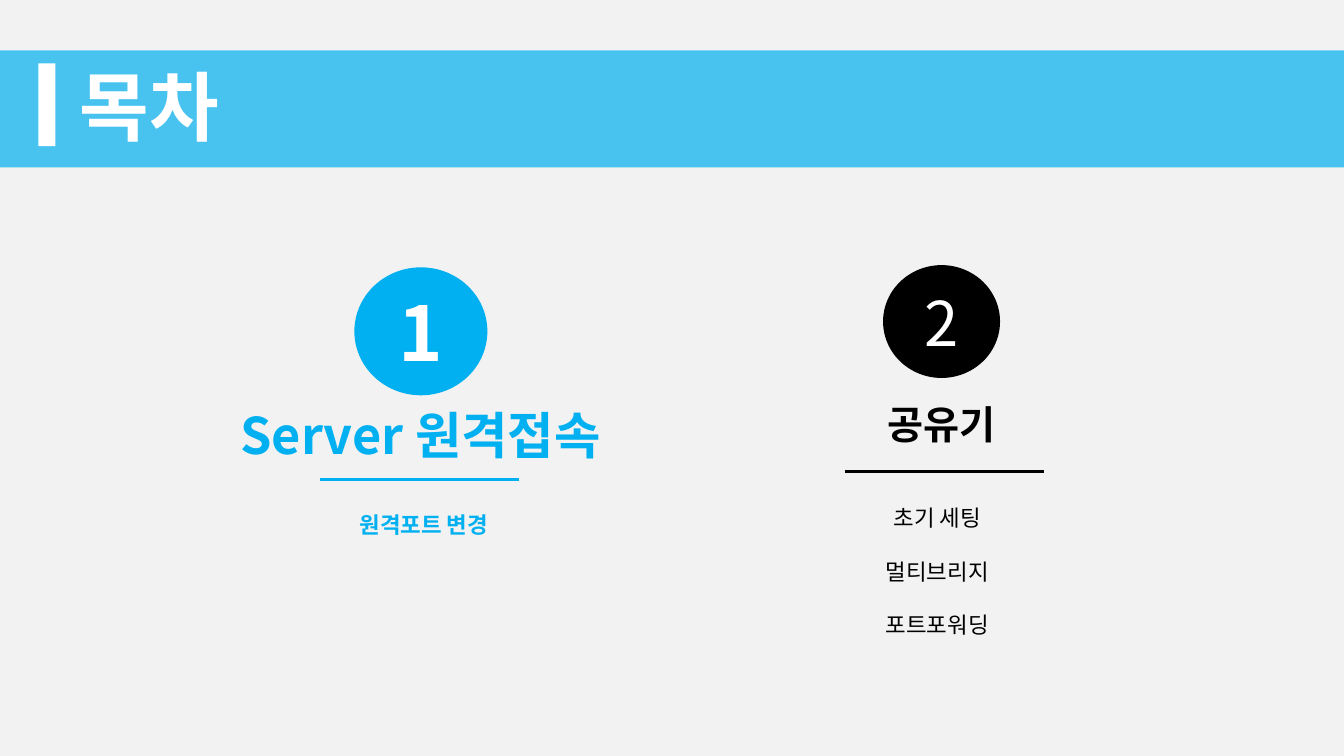
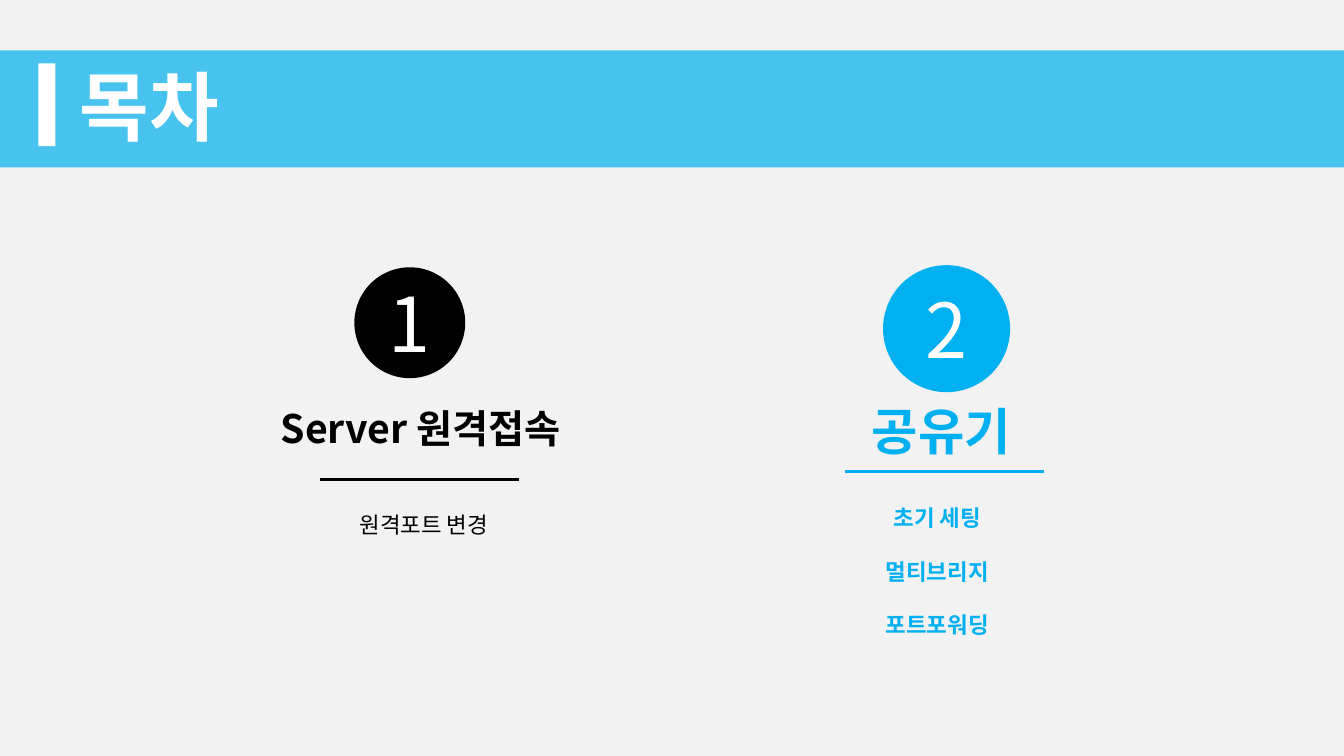
from dataclasses import dataclass

from lxml import etree
from pptx import Presentation
from pptx.dml.color import RGBColor
from pptx.enum.shapes import MSO_CONNECTOR, MSO_SHAPE
from pptx.enum.text import MSO_ANCHOR, MSO_AUTO_SIZE, PP_ALIGN
from pptx.oxml.ns import qn
from pptx.util import Inches, Pt

RECT, CIRCLE = MSO_SHAPE.RECTANGLE, MSO_SHAPE.FLOWCHART_CONNECTOR
STRAIGHT = MSO_CONNECTOR.STRAIGHT
LEFT, CENTER = PP_ALIGN.LEFT, PP_ALIGN.CENTER
TOP, MIDDLE = MSO_ANCHOR.TOP, MSO_ANCHOR.MIDDLE
COLS, ROWS = 128, 72
TWO_CONTENT = 3


@dataclass(frozen=True)
class Theme:
    font: str = "Noto Sans CJK KR"
    paper: str = "F2F2F2"
    accent: str = "00B0F0"
    ink: str = "000000"
    white: str = "FFFFFF"
    band_alpha: int = 70
    title: int = 54
    label: int = 28
    label_active: int = 36
    item: int = 16
    rule: float = 2.25


@dataclass(frozen=True)
class Section:
    """One agenda entry; places are in grid columns and rows."""
    label: str
    items: tuple
    circle_at: tuple
    label_at: tuple  # centre column, top row
    rule_at: tuple   # first column, row
    list_at: tuple   # centre column, top row


@dataclass(frozen=True)
class Badge:
    width: float
    height: float
    size: int
    bold: bool = False


class Deck:
    def __init__(self, theme):
        self.t = theme
        self.prs = Presentation()
        self.prs.slide_width, self.prs.slide_height = Inches(13.33), Inches(7.5)
        self.fill(self.prs.slide_master.background, theme.paper)
        self.s = None

    def x(self, cols):
        return round(self.prs.slide_width * cols / COLS)

    def y(self, rows):
        return round(self.prs.slide_height * rows / ROWS)

    def fill(self, obj, color):
        obj.fill.solid()
        obj.fill.fore_color.rgb = RGBColor.from_string(color)

    def place(self, sp, left, top, width, height):
        sp.left, sp.top = self.x(left), self.y(top)
        sp.width, sp.height = self.x(width), self.y(height)

    def frame(self, sp, anchor):
        tf = sp.text_frame
        tf.word_wrap, tf.auto_size = True, MSO_AUTO_SIZE.NONE
        tf.vertical_anchor = anchor
        return tf

    def style(self, p, size, color, bold=False, align=CENTER, spacing=1.0):
        p.alignment, p.line_spacing = align, spacing
        p.space_before = p.space_after = Pt(0)
        f = p.font
        f.size, f.bold, f.name = Pt(size), bold, self.t.font
        f.color.rgb = RGBColor.from_string(color)
        # East Asian glyphs take their own font entry
        props = p._p.pPr.find(qn("a:defRPr"))
        etree.SubElement(props, qn("a:ea")).set("typeface", self.t.font)

    def shape(self, kind, left, top, width, height, color):
        sp = self.s.shapes.add_shape(kind, self.x(left), self.y(top),
                                     self.x(width), self.y(height))
        sp.shadow.inherit = False
        self.fill(sp, color)
        sp.line.fill.background()
        return sp

    def slide(self, title):
        layout = self.prs.slide_layouts[TWO_CONTENT]
        self.s = self.prs.slides.add_slide(layout)
        # Translucent band behind the title
        band = self.shape(RECT, 0, 4.8, COLS, 11.14, self.t.accent)
        color = band._element.spPr.find(".//" + qn("a:srgbClr"))
        alpha = etree.SubElement(color, qn("a:alpha"))
        alpha.set("val", str(self.t.band_alpha * 1000))
        self.s.shapes._spTree.insert(2, band._element)
        # Title and its marker
        sp = self.s.shapes.title
        self.place(sp, 6.62, 3.65, 109, 13.9)
        tf = self.frame(sp, MIDDLE)
        tf.text = title
        self.style(tf.paragraphs[0], self.t.title, self.t.white, True, LEFT, 0.9)
        self.shape(RECT, 3.65, 6.05, 1.63, 7.87, self.t.white)

    def badge(self, number, at, badge, color):
        sp = self.shape(CIRCLE, *at, badge.width, badge.height, color)
        tf = self.frame(sp, MIDDLE)
        tf.text = str(number)
        self.style(tf.paragraphs[0], badge.size, self.t.white, badge.bold)

    def label(self, text, at, size, color, width=48):
        center, top = at
        sp = self.s.shapes.add_textbox(self.x(center - width / 2), self.y(top),
                                       self.x(width), self.y(6.8))
        tf = self.frame(sp, TOP)
        tf.text = text
        self.style(tf.paragraphs[0], size, color, True)

    def rule(self, at, color, width=18.95):
        left, row = at
        line = self.s.shapes.add_connector(STRAIGHT, self.x(left), self.y(row),
                                           self.x(left + width), self.y(row))
        line.line.width = Pt(self.t.rule)
        line.line.color.rgb = RGBColor.from_string(color)
        etree.SubElement(line._element.spPr, qn("a:effectLst"))

    def items(self, idx, texts, at, color, bold, width=24):
        center, top = at
        sp = self.s.placeholders[idx]
        self.place(sp, center - width / 2, top, width, 15.65)
        tf = self.frame(sp, TOP)
        tf.text = "\n".join(texts)
        for p in tf.paragraphs:
            props = p._p.get_or_add_pPr()
            props.set("marL", "0")
            props.set("indent", "0")
            etree.SubElement(props, qn("a:buNone"))
            self.style(p, self.t.item, color, bold, spacing=2.0)

    def section(self, number, sec, badge, active):
        t = self.t
        color = t.accent if active else t.ink
        self.badge(number, sec.circle_at, badge, color)
        self.label(sec.label, sec.label_at,
                   t.label_active if active else t.label, color)
        self.rule(sec.rule_at, color)
        self.items(number, sec.items, sec.list_at, color, active)


SECTIONS = (
    Section("Server 원격접속", ("원격포트 변경",),
            (33.75, 25.46), (40.05, 38.02), (30.5, 45.7), (40.37, 45.65)),
    Section("공유기", ("초기 세팅", "멀티브리지", "포트포워딩"),
            (84.1, 25.25), (89.66, 37.63), (80.45, 44.93), (89.26, 44.97)),
)
# Badges of each slide, in section order; the n-th slide highlights section n
BADGES = (
    (Badge(12.67, 12.19, 54, True), Badge(11.14, 10.75, 44)),
    (Badge(10.56, 10.56, 54), Badge(12.1, 12.1, 54)),
)


def main():
    deck = Deck(Theme())
    for current, badges in enumerate(BADGES, 1):
        deck.slide("목차")
        for number, (sec, badge) in enumerate(zip(SECTIONS, badges), 1):
            deck.section(number, sec, badge, number == current)
    deck.prs.save("out.pptx")


if __name__ == "__main__":
    main()
